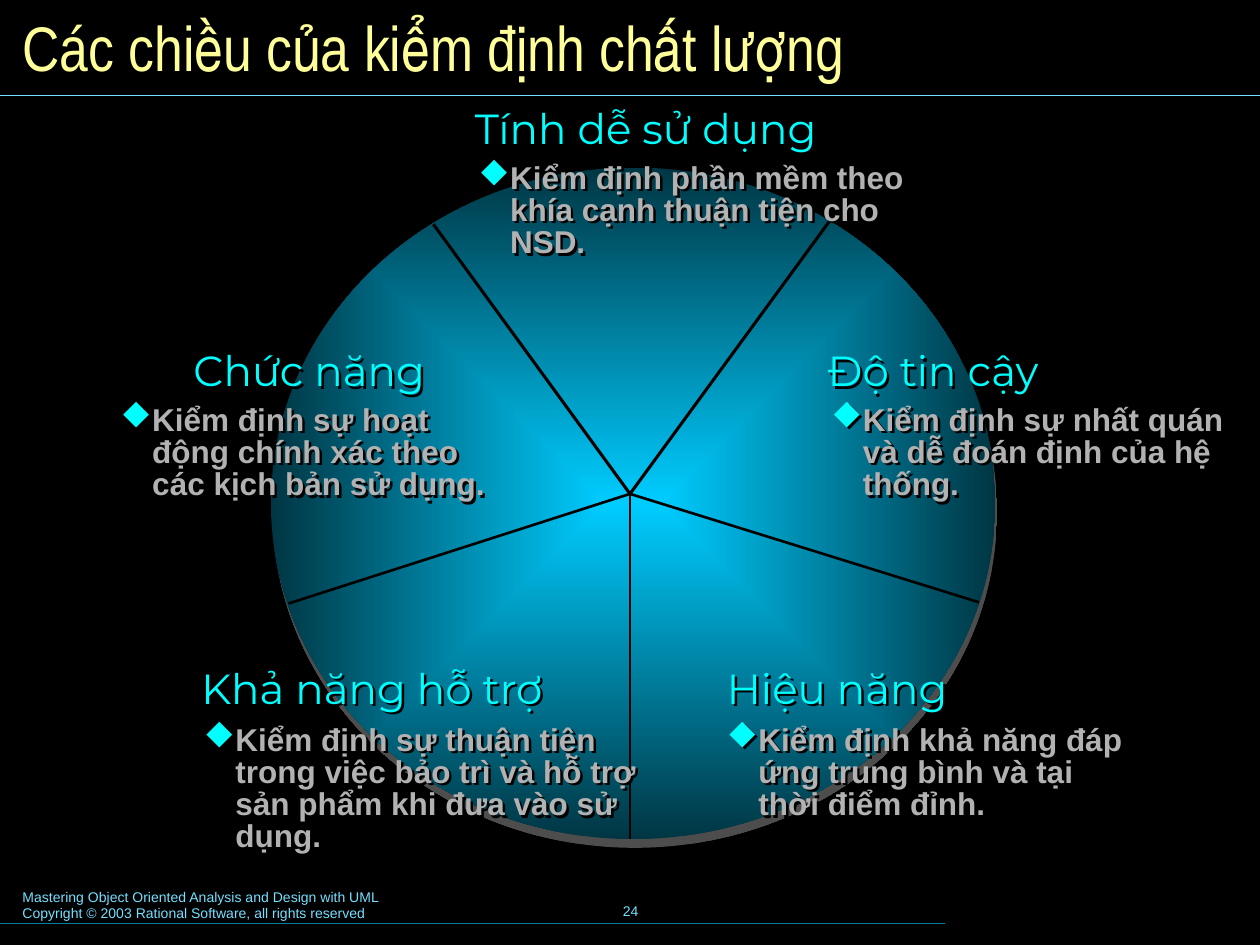
from lxml import etree
from pptx import Presentation, util as u
from pptx.dml.color import RGBColor
from pptx.enum import shapes, text
from pptx.oxml import parse_xml
from pptx.oxml.ns import qn

NS = 'xmlns:a="http://schemas.openxmlformats.org/drawingml/2006/main"'
WIDE, HIGH = 10, 7.5
CYAN, GREY, PALE = "00FFFF", "B2B2B2", "73E1FF"

TITLE = "Các chiều của kiểm định chất lượng"
FOOT = ["Mastering Object Oriented Analysis and Design with UML",
        "Copyright © 2003 Rational Software, all rights reserved"]
PAGE = "24"

# Heading, its left and width, alignment, row, note, its left and width
PARTS = [
    ("Độ tin cậy", 6.47, 2.72, "l", "mid",
     "Kiểm định sự nhất quán và dễ đoán định của hệ thống.", 6.5, 3.58),
    ("Hiệu năng", 5.67, 2.72, "l", "low",
     "Kiểm định khả năng đáp ứng trung bình và tại thời điểm đỉnh.", 5.67, 3.41),
    ("Chức năng", 0.75, 2.72, "r", "mid",
     "Kiểm định sự hoạt động chính xác theo các kịch bản sử dụng.", 0.86, 3.25),
    ("Tính dễ sử dụng", 3.67, 3.08, "l", "top",
     "Kiểm định phần mềm theo khía cạnh thuận tiện cho NSD.", 3.7, 3.67),
    ("Khả năng hỗ trợ", 1.5, 3.05, "l", "low",
     "Kiểm định sự thuận tiện trong việc bảo trì và hỗ trợ sản phẩm "
     "khi đưa vào sử dụng.", 1.52, 3.75),
]
ROWS = {"top": (0.83, 1.25), "mid": (2.75, 3.17), "low": (5.27, 5.71)}
HUB = (5, 3.92)
SPOKES = [(6.58, 1.76, 1.75), (7.77, 4.78, 1.5), (5, 6.66, 1.5),
          (3.44, 1.78, 1.75), (2.29, 4.79, 1.5)]
ALIGN = {"l": text.PP_ALIGN.LEFT, "c": text.PP_ALIGN.CENTER,
         "r": text.PP_ALIGN.RIGHT}


def tint(hue):
    return RGBColor.from_string(hue)


def shade(shape, hue, far, angle):
    shape._element.spPr.append(parse_xml(
        f'<a:effectLst {NS}><a:outerShdw dist="{u.Pt(far)}" '
        f'dir="{angle * 60000}" algn="ctr" rotWithShape="0">'
        f'<a:srgbClr val="{hue}"/></a:outerShdw></a:effectLst>'))


def line(start, end, hue, wide):
    ends = [u.Inches(v) for v in (*start, *end)]
    rule = slide.shapes.add_connector(shapes.MSO_CONNECTOR.STRAIGHT, *ends)
    rule.line.color.rgb = tint(hue)
    rule.line.width = u.Pt(wide)
    etree.SubElement(rule._element.spPr, qn("a:effectLst"))


def bullet(para):
    # The letter u is a diamond in Wingdings
    props = para._p.get_or_add_pPr()
    props.set("marL", str(u.Inches(0.25)))
    props.set("indent", str(-u.Inches(0.25)))
    for xml in (f'<a:buClr {NS}><a:srgbClr val="{CYAN}"/></a:buClr>',
                f'<a:buFont {NS} typeface="Wingdings" pitchFamily="2" charset="2"/>',
                f'<a:buChar {NS} char="u"/>'):
        props.append(parse_xml(xml))


def write(lines, place, size, face, hue, align="l", mid=False, wrap=True,
          bold=False, tight=False, dot=False):
    box = slide.shapes.add_textbox(*map(u.Inches, place))
    frame = box.text_frame
    frame.word_wrap = wrap
    if mid:
        frame.vertical_anchor = text.MSO_ANCHOR.MIDDLE
    if tight:
        shade(box, "000000", 2, 45)
    frame.text = "\n".join(lines)
    for para in frame.paragraphs:
        para.alignment = ALIGN[align]
        if dot:
            bullet(para)
        if tight:
            para.line_spacing = 0.85
        for run in para.runs:
            font = run.font
            font.size, font.name, font.bold = u.Pt(size), face, bold
            font.color.rgb = tint(hue)


deck = Presentation()
deck.slide_width, deck.slide_height = u.Inches(WIDE), u.Inches(HIGH)
slide = deck.slides.add_slide(deck.slide_layouts[6])
slide.background.fill.solid()
slide.background.fill.fore_color.rgb = tint("000000")

# Frame: footer, rules and title
write([PAGE], (3.42, 6.98, 3.17, 0.5), 8, "Arial", PALE, "c", mid=True, wrap=False)
line((0, 7.33), (WIDE * 0.75, 7.33), "007E9F", 0.75)
line((0, 0.76), (WIDE, 0.76), PALE, 0.75)
write(FOOT, (0.08, 7, 5.1, 0.37), 8, "Arial", PALE)
write([TITLE], (0.08, 0.08, 9.84, 0.58), 36, "Arial Narrow", "FFFF99", mid=True)

# Disc with a glow from its centre and a grey shadow
disc = slide.shapes.add_shape(shapes.MSO_SHAPE.OVAL,
                              *map(u.Inches, (2.15, 1.33, 5.75, 5.33)))
disc.line.fill.background()
disc._element.spPr.find(qn("a:prstGeom")).addnext(parse_xml(
    f'<a:gradFill {NS} rotWithShape="1"><a:gsLst>'
    '<a:gs pos="0"><a:srgbClr val="00CCFF"/></a:gs>'
    '<a:gs pos="100000"><a:srgbClr val="003643"/></a:gs></a:gsLst>'
    '<a:path path="rect"><a:fillToRect l="50000" t="50000" r="50000" b="50000"/>'
    '</a:path></a:gradFill>'))
shade(disc, "4D4D4D", 5.1, 79)

# Spokes
for x, y, wide in SPOKES:
    line(HUB, (x, y), "000000", wide)

# Headings and notes
for head, left, wide, align, row, note, inset, span in PARTS:
    high, low = ROWS[row]
    write([head], (left, high, wide, 0.44), 24, "Montserrat", CYAN, align, tight=True)
    write([note], (inset, low, span, 0.87), 18, "Arial", GREY,
          bold=True, tight=True, dot=True)

deck.save("out.pptx")
